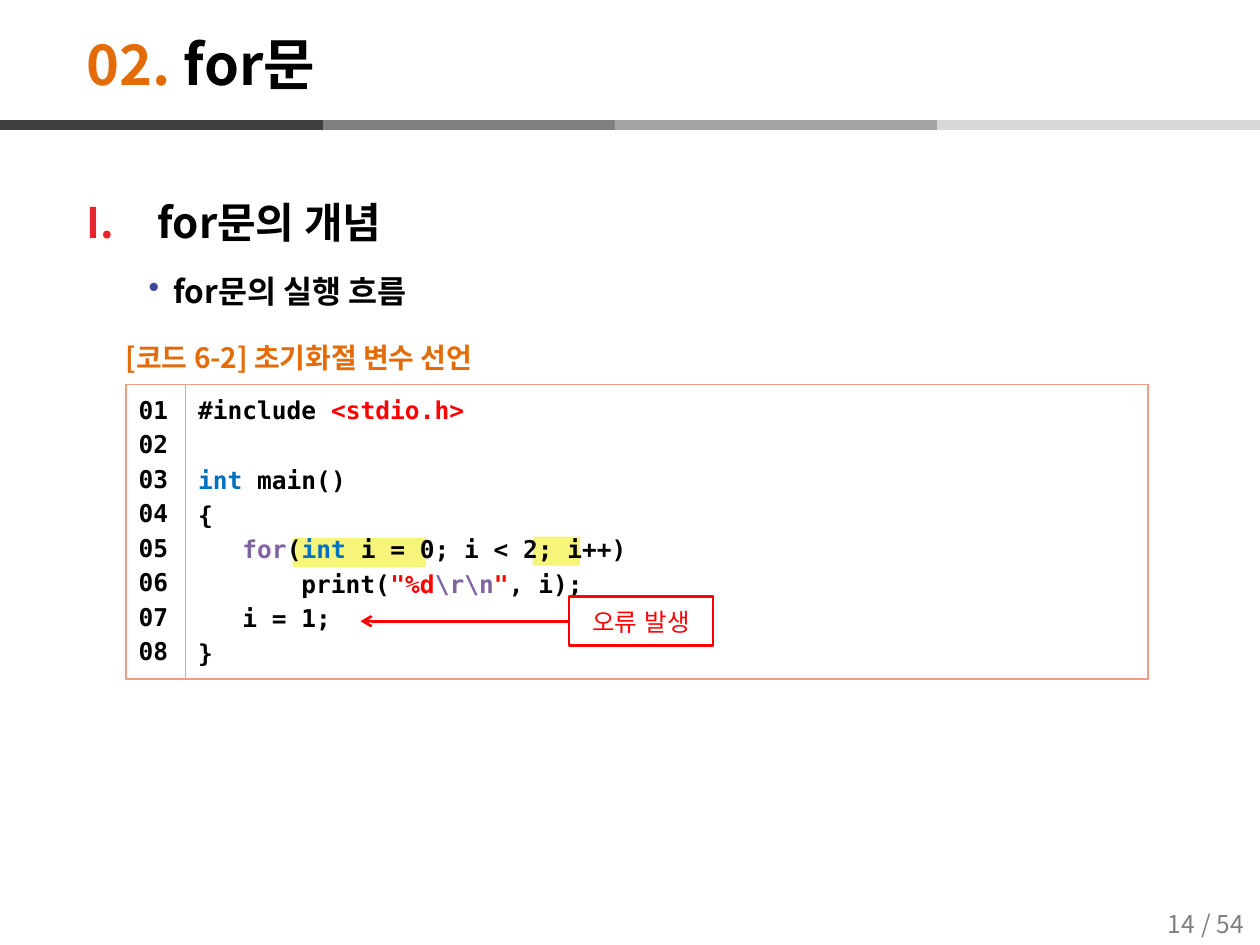
from lxml.etree import SubElement
from pptx import Presentation
from pptx.dml.color import RGBColor
from pptx.enum.shapes import MSO_CONNECTOR, MSO_SHAPE
from pptx.enum.text import MSO_ANCHOR, PP_ALIGN
from pptx.oxml.ns import qn
from pptx.util import Pt

SANS, MONO = "Noto Sans CJK KR", "DejaVu Sans Mono"
HEX = {
    "black": "000000", "orange": "E36C09", "gray": "7F7F7F", "red": "FF0000",
    "blue": "0070C0", "purple": "8064A2", "yellow": "F7F47C", "border": "F29B87",
    "roman": "E5242C", "dot": "3C479D",
}
RULES = [(167, "7F7F7F"), (351.5, "A5A5A5"), (535.5, "D8D8D8"), (0, "3F3F3F")]
CODE = [
    [("#include ", "black"), ("<stdio.h>", "red")],
    [],
    [("int", "blue"), (" main()", "black")],
    [("{", "black")],
    [("   ", "black"), ("for", "purple"), ("(", "black"), ("int", "blue"),
     (" i = 0; i < 2; i++)", "black")],
    [("       print(", "black"), ('"%d', "red"), ("\\r\\n", "purple"),
     ('"', "red"), (", i);", "black")],
    [("   i = 1;", "black")],
    [("}", "black")],
]
NUMS = [[(f"{n:02d}", "black")] for n in range(1, len(CODE) + 1)]


def write(para, parts, size, font=SANS, bold=True):
    """Add (text, colour name) runs to a paragraph, in one font."""
    para.font.size = Pt(size)
    for text, tint in parts:
        run = para.add_run()
        run.text = text
        run.font.size, run.font.bold, run.font.name = Pt(size), bold, font
        run.font.color.rgb = RGBColor.from_string(HEX[tint])
        SubElement(run.font._element, qn("a:ea"), typeface=font)


def line(x1, y1, x2, y2, tint, width):
    item = slide.shapes.add_connector(
        MSO_CONNECTOR.STRAIGHT, Pt(x1), Pt(y1), Pt(x2), Pt(y2))
    item.line.color.rgb = RGBColor.from_string(tint)
    item.line.width = Pt(width)
    SubElement(item._element.spPr, qn("a:effectLst"))
    return item


deck = Presentation()
deck.slide_width, deck.slide_height = Pt(720), Pt(540)
slide = deck.slides.add_slide(deck.slide_layouts[6])

# Gray rule under the title
for left, tint in RULES:
    line(left, 71.3, left + 184.5, 71.3, tint, 6)

# Highlights behind the code
for left, top, width in [(304.5, 306.7, 27), (167.3, 307.4, 76.3)]:
    mark = slide.shapes.add_shape(
        MSO_SHAPE.RECTANGLE, Pt(left), Pt(top), Pt(width), Pt(16.6))
    mark.shadow.inherit = False
    mark.fill.solid()
    mark.fill.fore_color.rgb = RGBColor.from_string(HEX["yellow"])
    mark.line.fill.background()

# Title, code caption and page number
LEFT, MID = PP_ALIGN.LEFT, PP_ALIGN.CENTER
for box, parts, size, bold, align in [
    ((42.5, 14.4, 629.3, 43.2), [("02. ", "orange"), ("for문", "black")], 32, True, LEFT),
    ((64.8, 191.5, 314.6, 25.2), [("[코드 6-2] 초기화절 변수 선언", "orange")], 16, True, LEFT),
    ((673.2, 514.1, 51.1, 28), [("/ 54", "gray")], 14, False, MID),
    ((649.4, 514.1, 51.1, 28), [("14", "gray")], 14, False, MID),
]:
    frame = slide.shapes.add_textbox(*map(Pt, box)).text_frame
    frame.word_wrap = True
    frame.vertical_anchor = MSO_ANCHOR.MIDDLE
    frame.paragraphs[0].alignment = align
    write(frame.paragraphs[0], parts, size, bold=bold)

# Outline
body = slide.shapes.add_textbox(Pt(42.5), Pt(94.3), Pt(663), Pt(431.3)).text_frame
body.word_wrap = True
for text, size, margin, hang, before, tint, kind, sign in [
    ("for문의 개념", 24, 40.5, 40.5, 0, "roman", "buAutoNum", {"type": "romanUcPeriod"}),
    ("for문의 실행 흐름", 18, 49.6, 14.2, 3.6, "dot", "buChar", {"char": "•"}),
]:
    para = body.paragraphs[0] if kind == "buAutoNum" else body.add_paragraph()
    para.line_spacing, para.space_before = 1.5, Pt(before)
    props = para._p.get_or_add_pPr()
    props.set("marL", str(Pt(margin)))
    props.set("indent", str(-Pt(hang)))
    SubElement(SubElement(props, qn("a:buClr")), qn("a:srgbClr"), val=HEX[tint])
    SubElement(props, qn("a:" + kind), sign)
    write(para, [(text, "black")], size)

# Code listing
table = slide.shapes.add_table(1, 2, Pt(72), Pt(219.6), Pt(584), Pt(165)).table
table.first_row = table.horz_banding = False
for col, (width, rows) in enumerate([(34, NUMS), (550, CODE)]):
    table.columns[col].width = Pt(width)
    cell = table.cell(0, col)
    props = cell._tc.get_or_add_tcPr()
    for side in ("lnL", "lnR", "lnT", "lnB"):
        edge = SubElement(props, qn("a:" + side), w=str(Pt(1)))
        SubElement(SubElement(edge, qn("a:solidFill")), qn("a:srgbClr"), val=HEX["border"])
    cell.fill.background()
    cell.margin_left = cell.margin_right = Pt(7.2)
    cell.margin_top = cell.margin_bottom = Pt(3.6)
    for i, parts in enumerate(rows):
        para = cell.text_frame.paragraphs[0] if i == 0 else cell.text_frame.add_paragraph()
        para.line_spacing = 1.2
        write(para, parts, 14, MONO)
        if not parts:
            SubElement(para._p, qn("a:endParaRPr"), sz="1400")

# Error label and its arrow
label = slide.shapes.add_shape(
    MSO_SHAPE.RECTANGLE, Pt(325.2), Pt(341), Pt(82.3), Pt(28))
label.shadow.inherit = False
label.fill.background()
label.line.color.rgb = RGBColor.from_string(HEX["red"])
label.line.width = Pt(1.5)
label.text_frame.vertical_anchor = MSO_ANCHOR.MIDDLE
label.text_frame.paragraphs[0].alignment = MID
write(label.text_frame.paragraphs[0], [("오류 발생", "red")], 14, "Arial", False)

arrow = line(325.2, 355, 206, 355, HEX["red"], 1.5)
arrow.begin_connect(label, 1)
SubElement(arrow.line._get_or_add_ln(), qn("a:tailEnd"), type="arrow")

deck.save("out.pptx")
